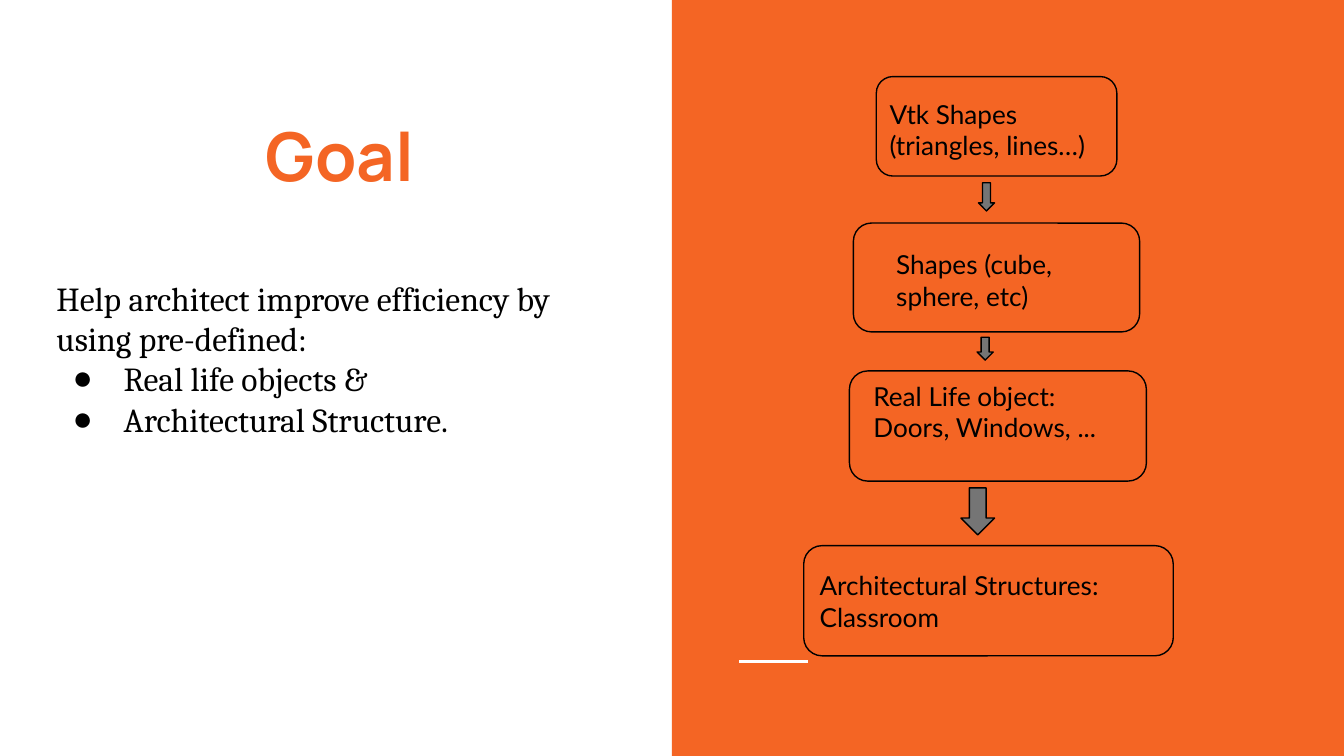
from dataclasses import dataclass

from lxml import etree
from pptx import Presentation
from pptx import util as u
from pptx.dml.color import RGBColor
from pptx.enum import shapes, text
from pptx.oxml import ns


@dataclass(frozen=True)
class Theme:
    accent: str = "F46524"
    ink: str = "000000"
    paper: str = "FFFFFF"
    arrow: str = "757575"
    head: str = "Manrope"
    serif: str = "Cambria"
    sans: str = "Lato"
    large: int = 36
    medium: int = 18
    small: int = 14
    thin: float = 0.75
    rule: float = 1.5


THEME = Theme()
WIDE = 10
HIGH = WIDE * 9 / 16
MID = text.MSO_ANCHOR.MIDDLE
TOP = text.MSO_ANCHOR.TOP
LEFT = text.PP_ALIGN.LEFT
CENTER = text.PP_ALIGN.CENTER
KIND = shapes.MSO_SHAPE


def place(item, box):
    item.left, item.top, item.width, item.height = map(u.Inches, box)


def shift(box, part):
    return box[0] + part[0], box[1] + part[1], part[2], part[3]


def bullet(para, mark):
    props = para._p.get_or_add_pPr()
    props.set("marL", str(u.Inches(0.5 if mark else 0)))
    props.set("indent", str(u.Inches(-0.38 if mark else 0)))
    if mark:
        etree.SubElement(props, ns.qn("a:buChar"), char="●")
    else:
        etree.SubElement(props, ns.qn("a:buNone"))


def write(item, lines, font, size, color=THEME.ink, bold=False,
          align=LEFT, anchor=TOP, marks=(), foot=0.1):
    frame = item.text_frame
    frame.word_wrap = True
    frame.auto_size = text.MSO_AUTO_SIZE.NONE
    frame.vertical_anchor = anchor
    frame.margin_left = frame.margin_right = frame.margin_top = u.Inches(0.1)
    frame.margin_bottom = u.Inches(foot)
    frame.text = "\n".join(lines)
    for para in frame.paragraphs:
        para.alignment = align
        para.space_before = para.space_after = u.Pt(0)
        bullet(para, para.text in marks)
        style = para.runs[0].font
        style.name, style.size, style.bold = font, u.Pt(size), bold
        style.color.rgb = RGBColor.from_string(color)


def draw(slide, kind, box, fill=None, line=None):
    item = slide.shapes.add_shape(kind, *map(u.Inches, box))
    item.shadow.inherit = False
    if fill:
        item.fill.solid()
        item.fill.fore_color.rgb = RGBColor.from_string(fill)
    else:
        item.fill.background()
    if line:
        item.line.color.rgb = RGBColor.from_string(line)
        item.line.width = u.Pt(THEME.thin)
    else:
        item.line.fill.background()
    return item


def panel(slide, box):
    draw(slide, KIND.RECTANGLE, box, fill=THEME.accent)
    x, y = box[0] + 0.5, box[1] + 4.92
    rule = slide.shapes.add_connector(
        shapes.MSO_CONNECTOR.STRAIGHT, *map(u.Inches, (x, y, x + 0.51, y)))
    rule.line.color.rgb = RGBColor.from_string(THEME.paper)
    rule.line.width = u.Pt(THEME.rule)
    etree.SubElement(rule._element.spPr, ns.qn("a:effectLst"))


def goal(slide, box):
    title, body = slide.placeholders
    place(title, shift(box, (0.32, 0.43, 4.42, 1.44)))
    write(title, ["Goal"], THEME.head, THEME.large, THEME.accent,
          bold=True, align=CENTER, anchor=MID)
    items = ["Real life objects &", "Architectural Structure."]
    place(body, shift(box, (0.32, 1.88, 4.43, 1.87)))
    write(body, ["Help architect improve efficiency by",
                 "using pre-defined:", *items],
          THEME.serif, THEME.medium, anchor=MID, marks=items, foot=0.4)


def flow(slide, box):
    steps = [
        ("Vtk Shapes (triangles, lines…)",
         (1.52, 0.57, 1.79, 0.74), (1.52, 0.63, 1.79, 0.74)),
        ("Shapes (cube, sphere, etc)",
         (1.35, 1.66, 2.13, 0.81), (1.57, 1.75, 1.79, 0.61)),
        ("Real Life object: Doors, Windows, ...",
         (1.32, 2.76, 2.21, 0.82), (1.4, 2.73, 2.13, 0.61)),
        ("Architectural Structures: Classroom",
         (0.98, 4.06, 2.75, 0.82), (1, 4.14, 2.94, 1.13)),
    ]
    arrows = [(2.28, 1.36, 0.12, 0.21), (2.27, 2.51, 0.12, 0.17),
              (2.15, 3.63, 0.25, 0.35)]
    for words, edge, area in steps:
        draw(slide, KIND.ROUNDED_RECTANGLE, shift(box, edge), line=THEME.ink)
        label = slide.shapes.add_textbox(*map(u.Inches, shift(box, area)))
        write(label, [words], THEME.sans, THEME.small)
    for part in arrows:
        draw(slide, KIND.DOWN_ARROW, shift(box, part),
             fill=THEME.arrow, line=THEME.ink)


def main():
    deck = Presentation()
    deck.slide_width, deck.slide_height = u.Inches(WIDE), u.Inches(HIGH)
    slide = deck.slides.add_slide(deck.slide_layouts[1])
    half = (WIDE / 2, 0, WIDE / 2, HIGH)
    panel(slide, half)
    goal(slide, (0, 0, WIDE / 2, HIGH))
    flow(slide, half)
    deck.save("out.pptx")


if __name__ == "__main__":
    main()
